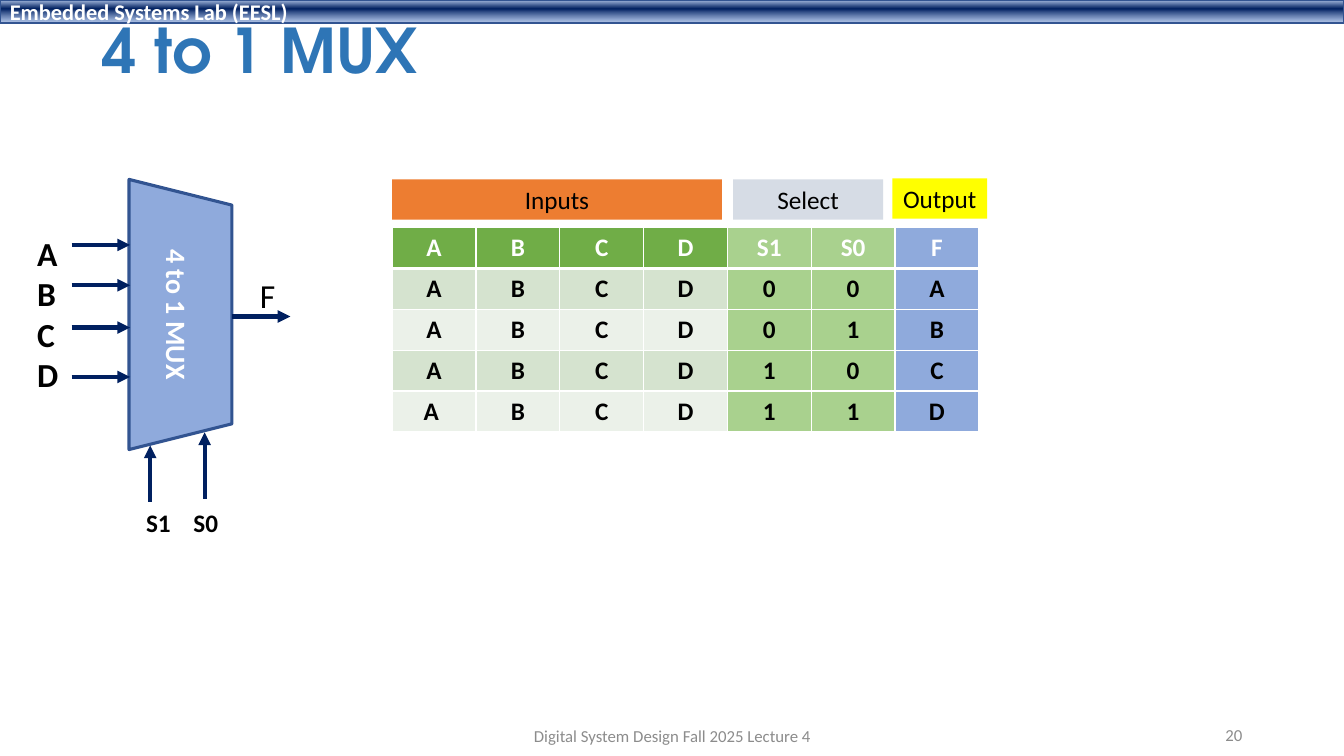
from dataclasses import dataclass

from lxml import etree
from pptx import Presentation
from pptx import util as u
from pptx.dml.color import RGBColor
from pptx.enum import shapes, text
from pptx.oxml import ns

Inches, Pt = u.Inches, u.Pt
LEFT, CENTER, RIGHT = text.PP_ALIGN.LEFT, text.PP_ALIGN.CENTER, text.PP_ALIGN.RIGHT
TOP, MIDDLE = text.MSO_ANCHOR.TOP, text.MSO_ANCHOR.MIDDLE


@dataclass(frozen=True)
class Theme:
    body: str = "Calibri"
    display: str = "TeX Gyre Adventor"
    title: str = "2E75B6"
    edge: str = "325491"
    navy: str = "002060"
    blue: str = "8FAADC"
    green: str = "70AD47"
    light_green: str = "A9D18E"
    bands: tuple = ("D5E3CF", "EBF1E9")
    orange: str = "ED7D31"
    grey: str = "D6DCE5"
    yellow: str = "FFFF00"
    muted: str = "8C8C8C"
    black: str = "000000"
    white: str = "FFFFFF"
    bar_stops: tuple = ((2, "ABC0E4", 100), (38, "002060", 100), (93, "7E9ED6", 64))
    title_size: int = 44
    pin_size: int = 24
    block_size: int = 20
    table_size: int = 18
    bar_size: int = 16
    footer_size: int = 12


T = Theme()


def rgb(value):
    return RGBColor.from_string(value)


def sub(parent, tag, **attrs):
    return etree.SubElement(parent, ns.qn(tag), attrs)


def write(tf, lines, size, color=T.black, bold=False, align=LEFT, anchor=TOP,
          font=T.body, wrap=True, spacing=None):
    tf.word_wrap = wrap
    tf.vertical_anchor = anchor
    for i, line in enumerate(lines):
        p = tf.add_paragraph() if i else tf.paragraphs[0]
        p.alignment = align
        p.line_spacing = spacing
        r = p.add_run()
        r.text = line
        r.font.name, r.font.size, r.font.bold = font, Pt(size), bold
        r.font.color.rgb = rgb(color)


def label(s, box, lines, size, **style):
    sp = s.shapes.add_textbox(*map(Inches, box))
    write(sp.text_frame, lines, size, **style)


def shape(s, kind, box, fill, edge=None, width=1):
    sp = s.shapes.add_shape(kind, *map(Inches, box))
    sp.shadow.inherit = False
    sp.fill.solid()
    sp.fill.fore_color.rgb = rgb(fill)
    if edge:
        sp.line.color.rgb = rgb(edge)
        sp.line.width = Pt(width)
    else:
        sp.line.fill.background()
    return sp


def arrow(s, x1, y1, x2, y2):
    c = s.shapes.add_connector(shapes.MSO_CONNECTOR.STRAIGHT, *map(Inches, (x1, y1, x2, y2)))
    c.line.color.rgb = rgb(T.navy)
    c.line.width = Pt(3)
    sub(c.line._get_or_add_ln(), "a:tailEnd", type="triangle")
    sub(c._element.spPr, "a:effectLst")


def header(s, left, top, width, height):
    bar = shape(s, shapes.MSO_SHAPE.RECTANGLE, (left, top, width, height), T.navy, T.edge)
    bar.fill.gradient()
    bar.fill.gradient_angle = 270
    stops = bar._element.spPr.find(".//" + ns.qn("a:gsLst"))
    for stop in list(stops):
        stops.remove(stop)
    for pos, color, alpha in T.bar_stops:
        clr = sub(sub(stops, "a:gs", pos=str(pos * 1000)), "a:srgbClr", val=color)
        if alpha < 100:
            sub(clr, "a:alpha", val=str(alpha * 1000))
    write(bar.text_frame, ["Embedded Systems Lab (EESL)"], T.bar_size,
          color=T.white, bold=True, anchor=MIDDLE)
    label(s, (left + 0.92, top + 0.15, 11.5, 0.77), ["4 to 1 MUX"], T.title_size, color=T.title,
          bold=True, anchor=MIDDLE, font=T.display, spacing=0.9)


def mux(s, left, top, width, height):
    right, middle = left + width, top + height / 2
    block = shape(s, shapes.MSO_SHAPE.TRAPEZOID,
                  (left + (width - height) / 2, middle - width / 2, height, width),
                  T.blue, T.edge, 2.25)
    block.rotation = 90
    write(block.text_frame, ["4 to 1 MUX"], T.block_size, color=T.white, bold=True,
          align=CENTER, anchor=MIDDLE)
    for dy in (0.65, 1.05, 1.47, 1.96):
        arrow(s, left - 0.57, top + dy, left + 0.01, top + dy)
    label(s, (left - 1.01, top + 0.48, 0.41, 1.72), "ABCD", T.pin_size, bold=True, wrap=False)
    arrow(s, right, top + 1.36, right + 0.58, top + 1.36)
    label(s, (right + 0.18, top + 0.9, 0.36, 0.5), ["F"], T.pin_size, wrap=False)
    for name, dx, tail, head, text_dx in (("S1", 0.21, 3.2, 2.64, 0.07), ("S0", 0.75, 3.17, 2.51, 0.54)):
        arrow(s, left + dx, top + tail, left + dx, top + head)
        label(s, (left + text_dx, top + 3.2, 0.45, 0.4), [name], T.table_size, bold=True, wrap=False)


def border(cell, bottom):
    tc_pr = cell._tc.get_or_add_tcPr()
    for i, (side, points) in enumerate((("L", 1), ("R", 1), ("T", 1), ("B", bottom))):
        ln = etree.Element(ns.qn("a:ln" + side), w=str(Pt(points)))
        sub(sub(ln, "a:solidFill"), "a:srgbClr", val=T.white)
        tc_pr.insert(i, ln)


def truth_table(s, left, top, width, row_height):
    for name, dx, dy, w, fill in (("Inputs", 0, 0.01, 3.27, T.orange),
                                  ("Select", 3.38, 0.01, 1.49, T.grey),
                                  ("Output", 4.96, 0, 0.94, T.yellow)):
        sp = shape(s, shapes.MSO_SHAPE.RECTANGLE, (left + dx, top + dy, w, 0.4), fill)
        write(sp.text_frame, [name], T.table_size, align=CENTER, wrap=name != "Output")

    rows = [["A", "B", "C", "D", "S1", "S0", "F"]]
    for i, output in enumerate("ABCD"):
        first = "A " if output == "D" else "A"
        rows.append([first, "B", "C", "D", str(i // 2), str(i % 2), output])
    box = (left, top + 0.49, width, row_height * len(rows))
    table = s.shapes.add_table(len(rows), len(rows[0]), *map(Inches, box)).table
    for i, row in enumerate(rows):
        inputs = T.bands[(i - 1) % 2] if i else T.green
        fills = [inputs] * 4 + [T.light_green] * 2 + [T.blue]
        for j, (value, fill) in enumerate(zip(row, fills)):
            cell = table.cell(i, j)
            cell.fill.solid()
            cell.fill.fore_color.rgb = rgb(fill)
            border(cell, 1 if i else 3)
            write(cell.text_frame, [value], T.table_size, bold=True, align=CENTER,
                  color=T.black if i else T.white)


def footer(s, left, top, width, height):
    label(s, (left, top + 0.01, 4.5, height), ["Digital System Design Fall 2025 Lecture 4"],
          T.footer_size, color=T.muted, align=CENTER, anchor=MIDDLE)
    label(s, (left + width - 3, top, 3, height), ["20"], T.footer_size,
          color=T.muted, align=RIGHT, anchor=MIDDLE)


def main():
    prs = Presentation()
    prs.slide_width, prs.slide_height = Inches(13.33), Inches(7.5)
    s = prs.slides.add_slide(prs.slide_layouts[6])
    header(s, 0, 0, 13.33, 0.23)
    mux(s, 1.28, 1.78, 1.02, 2.68)
    truth_table(s, 3.89, 1.77, 5.82, 0.405)
    footer(s, 4.42, 7.09, 8, 0.4)
    prs.save("out.pptx")


if __name__ == "__main__":
    main()
